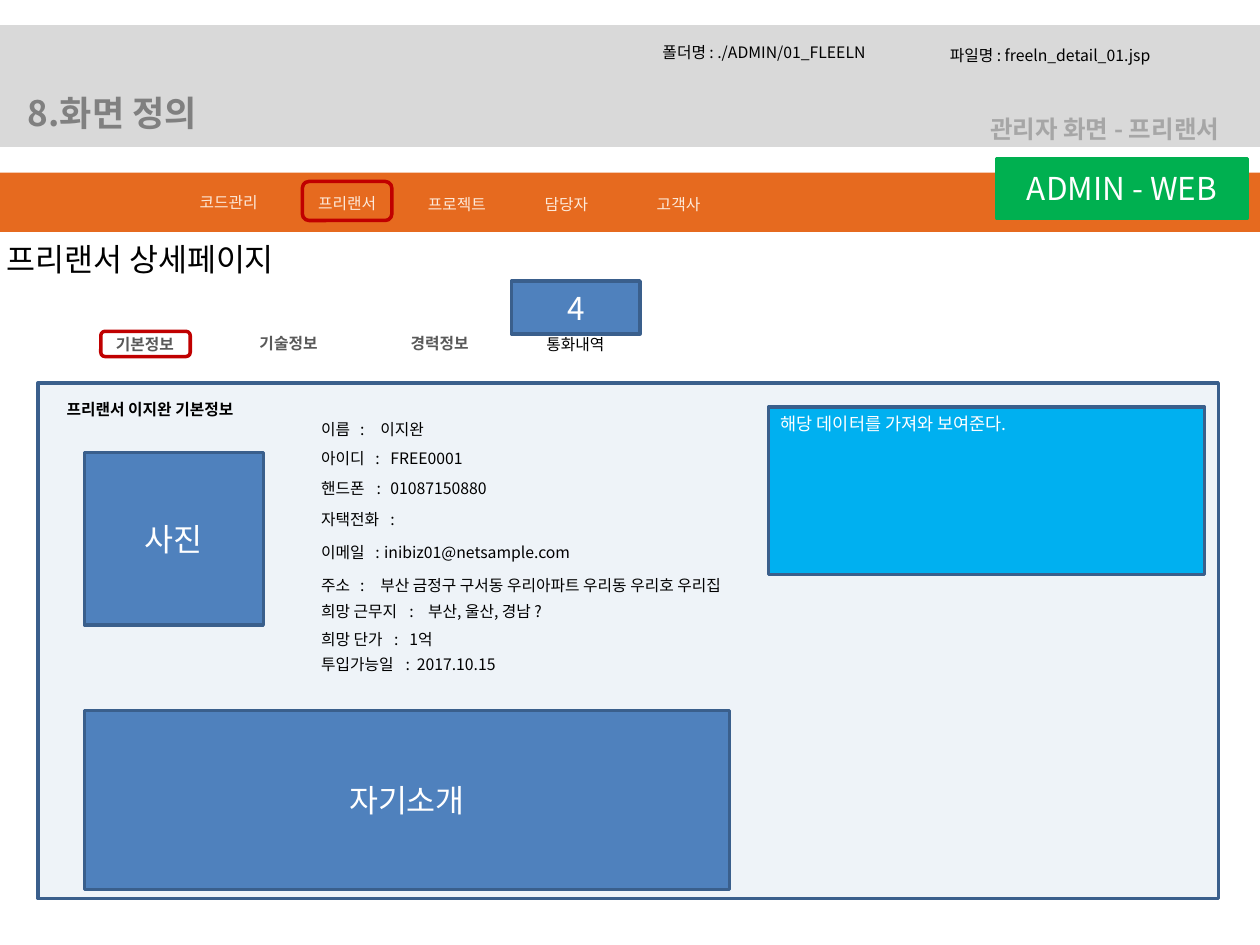
from lxml import etree
from pptx import Presentation
from pptx.dml.color import RGBColor
from pptx.enum import shapes, text
from pptx.oxml.ns import qn
from pptx.util import Inches, Pt

FONT = "Noto Sans CJK KR"
BLACK = RGBColor(0x00, 0x00, 0x00)
WHITE = RGBColor(0xFF, 0xFF, 0xFF)
BAND_GRAY = RGBColor(0xD9, 0xD9, 0xD9)
TITLE_GRAY = RGBColor(0x80, 0x80, 0x80)
SUBTITLE_GRAY = RGBColor(0xA6, 0xA6, 0xA6)
TAB_GRAY = RGBColor(0x59, 0x59, 0x59)
ORANGE = RGBColor(0xE6, 0x6A, 0x1F)
CREAM = RGBColor(0xFD, 0xEA, 0xDA)
RED = RGBColor(0xC0, 0x00, 0x00)
GREEN = RGBColor(0x00, 0xB0, 0x50)
BLUE = RGBColor(0x4F, 0x81, 0xBD)
NAVY = RGBColor(0x3A, 0x5F, 0x8C)
SKY = RGBColor(0x00, 0xB0, 0xF0)
PALE = RGBColor(0xEE, 0xF3, 0xF8)

RECT = shapes.MSO_SHAPE.RECTANGLE
ROUND = shapes.MSO_SHAPE.ROUNDED_RECTANGLE
LEFT, CENTER = text.PP_ALIGN.LEFT, text.PP_ALIGN.CENTER
TOP, MIDDLE = text.MSO_ANCHOR.TOP, text.MSO_ANCHOR.MIDDLE
LABEL_H = 0.25


def write(tf, words, size=9, color=BLACK, bold=False, align=LEFT, anchor=TOP, stops=()):
    """Fill a text frame with one formatted paragraph; stops are tab positions."""
    tf.word_wrap = True
    tf.vertical_anchor = anchor
    p = tf.paragraphs[0]
    p.alignment = align
    if stops:
        tabs = etree.SubElement(p._p.get_or_add_pPr(), qn("a:tabLst"))
        for stop in stops:
            etree.SubElement(tabs, qn("a:tab"), pos=str(Inches(stop)), algn="l")
    r = p.add_run()
    r.text = words
    r.font.size = Pt(size)
    r.font.bold = bold
    r.font.color.rgb = color
    r.font.name = FONT
    etree.SubElement(r._r.get_or_add_rPr(), qn("a:ea"), typeface=FONT)


def add_label(s, x, y, w, words, h=LABEL_H, **fmt):
    sp = s.shapes.add_textbox(Inches(x), Inches(y), Inches(w), Inches(h))
    write(sp.text_frame, words, **fmt)
    sp.text_frame.auto_size = text.MSO_AUTO_SIZE.SHAPE_TO_FIT_TEXT


def add_box(s, x, y, w, h, fill=None, line=None, kind=RECT, words="", **fmt):
    sp = s.shapes.add_shape(kind, Inches(x), Inches(y), Inches(w), Inches(h))
    sp.shadow.inherit = False
    if fill is None:
        sp.fill.background()
    else:
        sp.fill.solid()
        sp.fill.fore_color.rgb = fill
    if line is None:
        sp.line.fill.background()
    else:
        sp.line.color.rgb = line
        sp.line.width = Pt(2)
    if words:
        write(sp.text_frame, words, **fmt)


def add_block(s, x, y, w, h, words, fill=BLUE, line=NAVY):
    """Filled box with a large centred caption."""
    add_box(s, x, y, w, h, fill, line, words=words, size=18, color=WHITE,
            align=CENTER, anchor=MIDDLE)


def add_header(s, x, y, w, h):
    add_box(s, x, y, w, h, BAND_GRAY, BAND_GRAY)
    # Title placeholder, raised above the band
    title = s.shapes.title
    title.left, title.top = Inches(x + 0.12), Inches(y + 0.47)
    title.width, title.height = Inches(3.78), Inches(0.44)
    write(title.text_frame, "8.화면 정의", size=20, color=TITLE_GRAY, bold=True)
    title.text_frame.auto_size = text.MSO_AUTO_SIZE.NONE
    s.shapes._spTree.append(title._element)
    # Screen name and file location
    add_label(s, x + 7.76, y + 0.65, 2.64, "관리자 화면 - 프리랜서", h=0.34,
              size=14, color=SUBTITLE_GRAY, bold=True)
    add_label(s, x + 5.16, y + 0.08, 2.16, "폴더명 : ./ADMIN/01_FLEELN")
    add_label(s, x + 7.44, y + 0.10, 2.38, "파일명 : freeln_detail_01.jsp")


def add_menu(s, x, y, w, h):
    add_box(s, x, y, w, h, ORANGE)
    items = [("코드관리", 1.38, 0.11), ("프리랜서", 2.32, 0.12), ("프로젝트", 3.19, 0.13),
             ("담당자", 4.06, 0.13), ("고객사", 4.95, 0.13)]
    for words, dx, dy in items:
        add_label(s, x + dx, y + dy, 0.87, words, color=CREAM, align=CENTER)
    # Selected item and site badge
    add_box(s, x + 2.4, y + 0.07, 0.71, 0.31, line=RED, kind=ROUND)
    add_block(s, x + 7.91, y - 0.11, 1.99, 0.47, "ADMIN - WEB", GREEN, GREEN)


def add_tabs(s, x, y, w):
    add_label(s, x - 0.05, y, w, "프리랜서 상세페이지", h=0.4, size=18)
    for words, dx, dy in [("기본정보", 0.77, 0.75), ("기술정보", 1.91, 0.74), ("경력정보", 3.11, 0.74)]:
        add_label(s, x + dx, y + dy, 0.76, words, color=TAB_GRAY, bold=True, align=CENTER)
    # Selected tab
    add_box(s, x + 0.8, y + 0.77, 0.71, 0.2, line=RED, kind=ROUND)
    # Call history tab with its count
    add_block(s, x + 4.06, y + 0.37, 1.02, 0.42, "4")
    add_label(s, x + 4.07, y + 0.75, 0.99, "통화내역", align=CENTER)


def add_profile(s, x, y):
    """Rows of name, colon and value, lined up with tab stops."""
    rows = [  # name, value, top, tab stops
        ("이름", "이지완", 0, (0.31, 0.47)),
        ("아이디", "FREE0001", 0.23, (0.43, 0.55)),
        ("핸드폰", "01087150880", 0.47, (0.44, 0.55)),
        ("자택전화", "", 0.72, (0.55,)),
        ("이메일", "inibiz01@netsample.com", 0.98, (0.43, 0.50)),
        ("주소", "부산 금정구 구서동 우리아파트 우리동 우리호 우리집", 1.24, (0.31, 0.47)),
        ("희망 근무지", "부산, 울산, 경남 ?", 1.45, (0.70, 0.85)),
        ("희망 단가", "1억", 1.67, (0.58, 0.70)),
        ("투입가능일", "2017.10.15", 1.87, (0.67, 0.76)),
    ]
    for name, value, dy, stops in rows:
        words = f"{name}\t:\t{value}" if value else f"{name}\t:"
        add_label(s, x, y + dy, 4.12 if name == "주소" else 2.31, words, stops=stops)


def add_detail(s, x, y, w, h):
    add_box(s, x, y, w, h, PALE, NAVY)
    add_label(s, x + 0.13, y + 0.08, 2.13, "프리랜서 이지완 기본정보", bold=True)
    add_profile(s, x + 2.15, y + 0.24)
    # Photo and introduction areas
    add_block(s, x + 0.37, y + 0.55, 1.42, 1.37, "사진")
    add_block(s, x + 0.37, y + 2.6, 5.12, 1.42, "자기소개")
    # Explanation
    add_box(s, x + 5.8, y + 0.19, 3.46, 1.33, SKY, NAVY,
            words="해당 데이터를 가져와 보여준다.", size=10, color=WHITE)


def main():
    prs = Presentation()
    prs.slide_width, prs.slide_height = Inches(10), Inches(7.5)
    s = prs.slides.add_slide(prs.slide_layouts[5])
    add_header(s, 0, 0.21, 10, 0.94)
    add_menu(s, 0, 1.37, 10, 0.47)
    add_tabs(s, 0, 1.86, 3.31)
    add_detail(s, 0.3, 3.04, 9.37, 4.09)
    prs.save("out.pptx")


if __name__ == "__main__":
    main()
